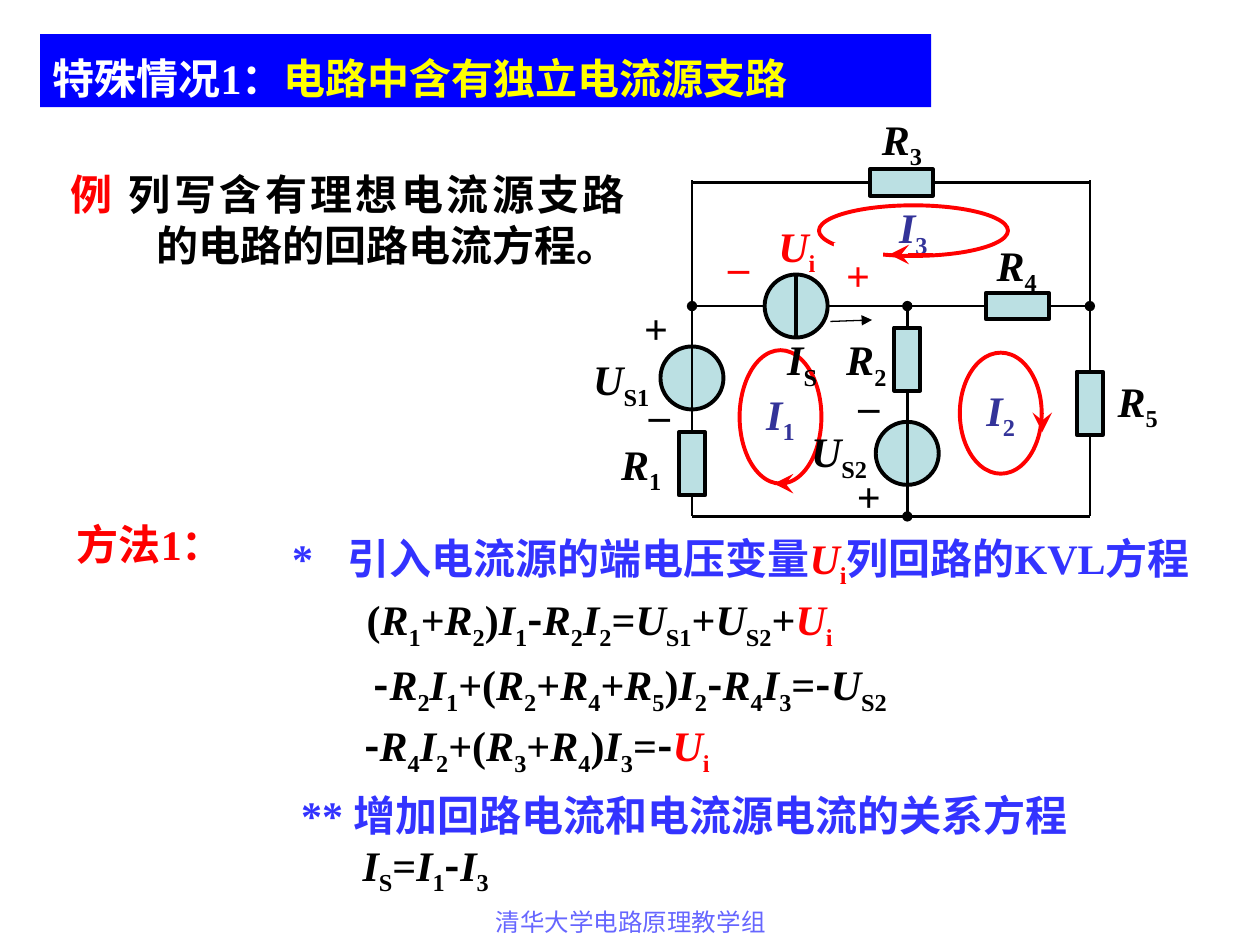
from itertools import groupby

from lxml import etree
from pptx import Presentation
from pptx.dml.color import RGBColor
from pptx.enum.shapes import MSO_CONNECTOR, MSO_SHAPE
from pptx.enum.text import MSO_ANCHOR, MSO_AUTO_SIZE, PP_ALIGN
from pptx.oxml.ns import qn
from pptx.util import Cm, Pt

STRAIGHT = MSO_CONNECTOR.STRAIGHT
OVAL, RECTANGLE = MSO_SHAPE.OVAL, MSO_SHAPE.RECTANGLE
MIDDLE, TOP = MSO_ANCHOR.MIDDLE, MSO_ANCHOR.TOP
GROW = MSO_AUTO_SIZE.SHAPE_TO_FIT_TEXT
LEFT_ALIGN, CENTER, JUSTIFY = PP_ALIGN.LEFT, PP_ALIGN.CENTER, PP_ALIGN.JUSTIFY

SERIF, SANS = "Times New Roman", "Noto Sans CJK SC"
BLACK, WHITE, RED, YELLOW = "000000", "FFFFFF", "FF0000", "FFFF00"
BLUE, VIOLET, INDIGO, TEAL = "0000FF", "3333FF", "333399", "BBE0E3"
LEFT_WIRE, MIDDLE_WIRE, RIGHT_WIRE = 13.95, 18.29, 21.97
TOP_WIRE, CENTER_WIRE, BOTTOM_WIRE, WIRE_END = 3.68, 6.17, 10.41, 3.63
SOURCE_X = 16.05
SOURCE_SIZE, RESISTOR_LENGTH, RESISTOR_WIDTH = 1.27, 1.27, 0.53
LABEL_HEIGHT, SIGN_HEIGHT = 1.42, 1.27


def color(value):
    """Turn a hex string into a colour."""
    return RGBColor.from_string(value)


def add_run(paragraph, text, fill=BLACK, size=24, bold=True, italic=False,
            subscript=False, font=SERIF):
    """Append one formatted run."""
    run = paragraph.add_run()
    run.text = text
    run.font.size, run.font.bold, run.font.italic = Pt(size), bold, italic
    run.font.name = font
    run.font.color.rgb = color(fill)
    properties = run.font._element
    if subscript:
        properties.set("baseline", "-25000")
    etree.SubElement(properties, qn("a:ea"), typeface=SANS)


def add_formula(paragraph, text, fill=BLACK):
    """Append a formula whose subscripts stand between tildes."""
    for index, part in enumerate(text.split("~")):
        if index % 2:
            add_run(paragraph, part, fill, subscript=True)
            continue
        for (italic, minus), letters in groupby(
                part, lambda letter: (letter.isalpha(), letter == "-")):
            add_run(paragraph, "".join(letters), fill, italic=italic,
                    font=SANS if minus else SERIF)


def write_text(shape, parts, formula=False, align=LEFT_ALIGN, anchor=TOP, wrap=False,
               grow=True, tab=None, hanging=0, line_height=None, **run_format):
    """Fill a shape with (text, colour) parts; a third item marks a formula part."""
    frame = shape.text_frame
    frame.word_wrap = wrap
    frame.vertical_anchor = anchor
    if grow:
        frame.auto_size = GROW
    paragraph = frame.paragraphs[0]
    paragraph.alignment = align
    if line_height:
        paragraph.line_spacing = Pt(line_height)
    properties = paragraph._p.get_or_add_pPr()
    if hanging:
        properties.set("marL", str(Cm(hanging)))
        properties.set("indent", str(-Cm(hanging)))
    if tab:
        tabs = etree.SubElement(properties, qn("a:tabLst"))
        etree.SubElement(tabs, qn("a:tab"), pos=str(Cm(tab)), algn="l")
    for text, fill, *mark in parts:
        if formula or mark:
            add_formula(paragraph, text, fill)
        else:
            add_run(paragraph, text, fill, **run_format)


def add_text(slide, box, parts, **text_format):
    """Add a text box."""
    shape = slide.shapes.add_textbox(*map(Cm, box))
    write_text(shape, parts, **text_format)


def add_figure(slide, kind, box, fill=None, line=None):
    """Add a preset shape with a plain fill and outline."""
    shape = slide.shapes.add_shape(kind, *map(Cm, box))
    shape.shadow.inherit = False
    if fill:
        shape.fill.solid()
        shape.fill.fore_color.rgb = color(fill)
    else:
        shape.fill.background()
    if line:
        shape.line.color.rgb = color(line)
        shape.line.width = Pt(2.25)
    else:
        shape.line.fill.background()
    return shape


def add_component(slide, kind, center_x, center_y, width, height):
    """Add a circuit component around its centre."""
    box = (center_x - width / 2, center_y - height / 2, width, height)
    add_figure(slide, kind, box, TEAL, BLACK)


def add_line(slide, start, end, fill=BLACK, width=1.5, head=None, tail=None, mark_size="med"):
    """Add a straight line with optional end marks."""
    line = slide.shapes.add_connector(STRAIGHT, *map(Cm, start + end))
    line.line.color.rgb = color(fill)
    line.line.width = Pt(width)
    outline = line.line._get_or_add_ln()
    for tag, mark in (("a:headEnd", head), ("a:tailEnd", tail)):
        if mark:
            etree.SubElement(outline, qn(tag), type=mark, w=mark_size, len=mark_size)
    etree.SubElement(line._element.spPr, qn("a:effectLst"))


def add_loop(slide, name, box, start, end):
    """Add a loop current with its direction arrow."""
    loop = add_figure(slide, OVAL, box, line=RED)
    write_text(loop, [(name, INDIGO)], formula=True, align=CENTER, anchor=MIDDLE, grow=False)
    add_line(slide, start, end, RED, 2.25, tail="stealth", mark_size="lg")


def add_source_voltage(slide):
    """Add the voltage marks of the current source."""
    for sign, box in (("_", (14.43, 4.45, 0.91, SIGN_HEIGHT)),
                      ("+", (16.81, 4.9, 0.99, SIGN_HEIGHT))):
        write_text(add_figure(slide, RECTANGLE, box, WHITE), [(sign, RED)])
    add_text(slide, (15.44, 4.32, 1.6, LABEL_HEIGHT), [("U~i~", RED)], formula=True, wrap=True)


def add_circuit(slide):
    """Add sources, wires, resistors and their labels."""
    for x, y in ((MIDDLE_WIRE, 9.14), (LEFT_WIRE, 7.62), (SOURCE_X, CENTER_WIRE)):
        add_component(slide, OVAL, x, y, SOURCE_SIZE, SOURCE_SIZE)
    radius = SOURCE_SIZE / 2
    add_line(slide, (SOURCE_X, CENTER_WIRE - radius), (SOURCE_X, CENTER_WIRE + radius), width=2.25)
    add_line(slide, (SOURCE_X - radius, CENTER_WIRE), (LEFT_WIRE, CENTER_WIRE), tail="oval")
    add_line(slide, (SOURCE_X + radius, CENTER_WIRE), (RIGHT_WIRE, CENTER_WIRE), tail="oval")
    add_line(slide, (16.74, 6.48), (17.58, 6.45), width=0.75, tail="triangle")
    add_line(slide, (MIDDLE_WIRE, CENTER_WIRE), (MIDDLE_WIRE, BOTTOM_WIRE),
             head="oval", tail="oval")
    for x in (LEFT_WIRE, RIGHT_WIRE):
        add_line(slide, (x, WIRE_END), (x, BOTTOM_WIRE))
    for y in (TOP_WIRE, BOTTOM_WIRE):
        add_line(slide, (LEFT_WIRE, y), (RIGHT_WIRE, y))
    for x, y in ((LEFT_WIRE, 9.35), (MIDDLE_WIRE, 7.24), (RIGHT_WIRE, 8.13)):
        add_component(slide, RECTANGLE, x, y, RESISTOR_WIDTH, RESISTOR_LENGTH)
    for x, y in ((18.17, TOP_WIRE), (20.51, CENTER_WIRE)):
        add_component(slide, RECTANGLE, x, y, RESISTOR_LENGTH, RESISTOR_WIDTH)
    for name, left, top, width in (
            ("U~S1~", 11.71, 7.01, 1.9), ("U~S2~", 16.1, 8.46, 1.9),
            ("R~1~", 12.27, 8.71, 1.6), ("R~2~", 16.81, 6.6, 1.6),
            ("R~5~", 22.28, 7.44, 1.6), ("R~3~", 17.53, 2.16, 1.6),
            ("R~4~", 19.84, 4.7, 1.6), ("I~S~", 15.62, 6.6, 1.4)):
        add_text(slide, (left, top, width, LABEL_HEIGHT), [(name, BLACK)],
                 formula=True, wrap=True)
    for sign, left, top in (("_", 17.02, 7.24), ("+", 12.73, 5.97),
                            ("_", 12.8, 7.42), ("+", 17.02, 9.35)):
        add_text(slide, (left, top, 0.99, SIGN_HEIGHT), [(sign, BLACK)],
                 align=CENTER, anchor=MIDDLE)


def main():
    """Build and save the slide."""
    presentation = Presentation()
    presentation.slide_width, presentation.slide_height = Cm(25.4), Cm(19.05)
    slide = presentation.slides.add_slide(presentation.slide_layouts[6])

    add_text(slide, (1.3, 10.24, 4.27, 1.27), [("方法1：", RED)], line_height=31)
    for left, top, width, parts in (
            (7.14, 11.84, 10.11, [("(R~1~+R~2~)I~1~-R~2~I~2~=U~S1~+U~S2~+", BLACK),
                                  ("U~i~", RED)]),
            (7.29, 13.16, 10.97, [("-R~2~I~1~+(R~2~+R~4~+R~5~)I~2~-R~4~I~3~=-U~S2~", BLACK)]),
            (7.09, 14.38, 7.72, [("-R~4~I~2~+(R~3~+R~4~)I~3~=-", BLACK), ("U~i~", RED)]),
            (7.06, 16.79, 3.25, [("I~S~=I~1~-I~3~", BLACK)])):
        add_text(slide, (left, top, width, LABEL_HEIGHT), parts, formula=True)

    add_loop(slide, "I~1~", (14.91, 7.06, 1.65, 2.69), (15.85, 9.75), (15.6, 9.75))
    add_loop(slide, "I~2~", (19.35, 7.11, 1.65, 2.44), (21.01, 8.33), (21.01, 8.71))
    add_loop(slide, "I~3~", (16.51, 4.14, 3.81, 1.02), (18.8, 5.13), (17.93, 5.13))
    add_source_voltage(slide)
    add_text(slide, (1.17, 3.27, 11.68, 3.3),
             [("例 ", RED), ("列写含有理想电流源支路的电路的回路电流方程。", BLACK)],
             align=JUSTIFY, wrap=True, hanging=1.73, line_height=29)
    add_circuit(slide)

    add_text(slide, (5.64, 10.63, 18.95, 2.44),
             [("*\t引入电流源的端电压变量", VIOLET), ("U~i~", RED, True),
              ("列回路的KVL方程", VIOLET)],
             align=JUSTIFY, wrap=True, tab=1.12, line_height=32)
    add_text(slide, (5.82, 15.72, 16.8, 1.27),
             [("** 增加回路电流和电流源电流的关系方程", VIOLET)],
             align=JUSTIFY, wrap=True, line_height=31)
    title = add_figure(slide, RECTANGLE, (0.81, 0.69, 17.96, 1.47), BLUE)
    write_text(title, [("特殊情况1：", WHITE), ("电路中含有独立电流源支路", YELLOW)],
               wrap=True, grow=False, line_height=36)
    add_text(slide, (8.69, 18.11, 8.05, 1.32), [("清华大学电路原理教学组", "6666FF")],
             align=CENTER, wrap=True, grow=False, line_height=18, size=14, bold=False)
    presentation.save("out.pptx")


if __name__ == "__main__":
    main()
